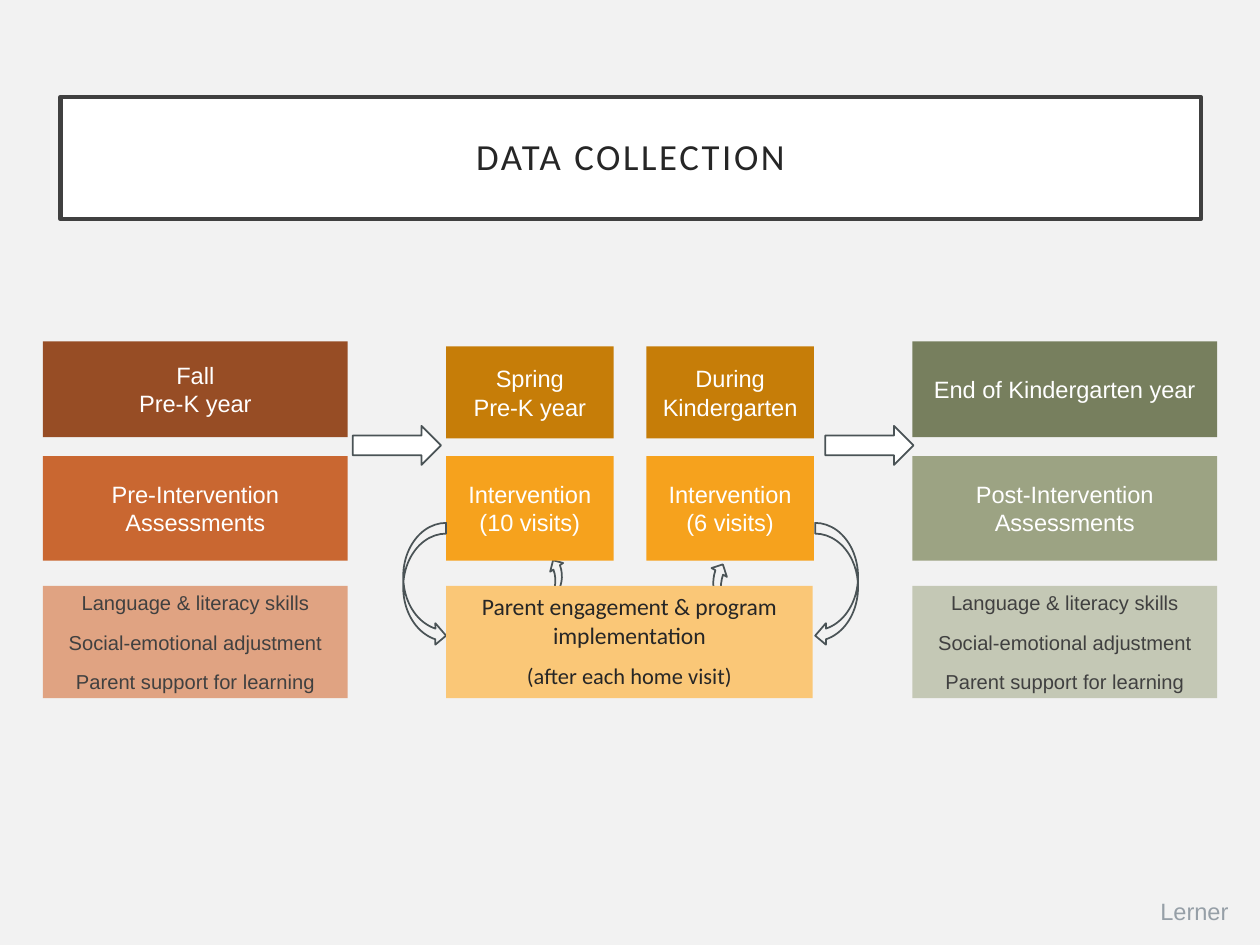
from pptx import Presentation
from pptx.dml.color import RGBColor
from pptx.enum.shapes import MSO_SHAPE as Shape
from pptx.enum.text import MSO_ANCHOR as Anchor, MSO_AUTO_SIZE as AutoSize, PP_ALIGN as Align
from pptx.util import Inches, Pt

BACKGROUND = RGBColor(0xF2, 0xF2, 0xF2)
WHITE = RGBColor(0xFF, 0xFF, 0xFF)
DARK = RGBColor(0x26, 0x26, 0x26)
CHARCOAL = RGBColor(0x40, 0x40, 0x40)
OUTLINE = RGBColor(0x4A, 0x53, 0x56)
GRAY = RGBColor(0x96, 0x9F, 0xA7)
RUST_DARK = RGBColor(0x97, 0x4D, 0x25)
RUST = RGBColor(0xC9, 0x67, 0x31)
RUST_LIGHT = RGBColor(0xE0, 0xA3, 0x82)
AMBER_DARK = RGBColor(0xC6, 0x7D, 0x08)
AMBER = RGBColor(0xF6, 0xA2, 0x1D)
AMBER_LIGHT = RGBColor(0xFA, 0xC7, 0x77)
SAGE_DARK = RGBColor(0x77, 0x7F, 0x5E)
SAGE = RGBColor(0x9C, 0xA3, 0x83)
SAGE_LIGHT = RGBColor(0xC4, 0xC8, 0xB5)

OUTER_WIDTH, INNER_WIDTH = 2.42, 1.33
MIDDLE_TOP, MIDDLE_HEIGHT = 3.62, 0.83
BOTTOM_TOP, BOTTOM_HEIGHT = 4.65, 0.89
SKILLS = [
    "Language & literacy skills",
    "Social-emotional adjustment",
    "Parent support for learning",
]


def set_insets(frame, horizontal, vertical):
    frame.margin_left = frame.margin_right = Inches(horizontal)
    frame.margin_top = frame.margin_bottom = Inches(vertical)


def style_font(font, name, size, color):
    font.name = name
    font.size = Pt(size)
    font.color.rgb = color


def add_title(slide, text):
    title = slide.shapes.title
    title.left, title.top = Inches(0.48), Inches(0.77)
    title.width, title.height = Inches(9.05), Inches(0.97)
    title.fill.solid()
    title.fill.fore_color.rgb = WHITE
    title.line.color.rgb = CHARCOAL
    title.line.width = Pt(2.5)
    frame = title.text_frame
    frame.text = text
    frame.vertical_anchor = Anchor.MIDDLE
    set_insets(frame, 0.2, 0.2)
    paragraph = frame.paragraphs[0]
    paragraph.alignment = Align.CENTER
    paragraph.line_spacing = 0.9
    style_font(paragraph.font, "Calibri", 21, DARK)
    paragraph.runs[0].font._element.set("spc", "150")


def add_box(slide, bounds, fill, lines, sizes=(13.5,), font_name="Arial",
            color=WHITE, before=0, after=0):
    box = slide.shapes.add_shape(Shape.RECTANGLE, *map(Inches, bounds))
    box.shadow.inherit = False
    box.fill.solid()
    box.fill.fore_color.rgb = fill
    box.line.fill.background()
    frame = box.text_frame
    frame.word_wrap = True
    frame.vertical_anchor = Anchor.MIDDLE
    set_insets(frame, 0.07, 0.04)
    for index, line in enumerate(lines):
        paragraph = frame.add_paragraph() if index else frame.paragraphs[0]
        paragraph.text = line
        paragraph.alignment = Align.CENTER
        paragraph.space_before = Pt(before if index else 0)
        paragraph.space_after = Pt(after)
        style_font(paragraph.font, font_name, sizes[index % len(sizes)], color)
    return box


def add_arrow(slide, kind, bounds, rotation=0, fill=None):
    arrow = slide.shapes.add_shape(kind, *map(Inches, bounds))
    arrow.shadow.inherit = False
    arrow.rotation = rotation
    if fill is None:
        arrow.fill.background()
    else:
        arrow.fill.solid()
        arrow.fill.fore_color.rgb = fill
    arrow.line.color.rgb = OUTLINE
    arrow.line.width = Pt(1)


def add_assessment_column(slide, left, colors, heading, assessment):
    top_color, middle_color, bottom_color = colors
    add_box(slide, (left, 2.71, OUTER_WIDTH, 0.76), top_color, heading)
    add_box(slide, (left, MIDDLE_TOP, OUTER_WIDTH, MIDDLE_HEIGHT), middle_color, [assessment])
    add_box(slide, (left, BOTTOM_TOP, OUTER_WIDTH, BOTTOM_HEIGHT), bottom_color, SKILLS,
            sizes=(11.5,), color=CHARCOAL, before=3, after=6)


def add_intervention_column(slide, left, heading, visits):
    add_box(slide, (left, 2.75, INNER_WIDTH, 0.73), AMBER_DARK, heading)
    add_box(slide, (left, MIDDLE_TOP, INNER_WIDTH, MIDDLE_HEIGHT), AMBER,
            ["Intervention", visits])


def add_engagement_box(slide):
    box = add_box(slide, (3.54, BOTTOM_TOP, 2.91, BOTTOM_HEIGHT), AMBER_LIGHT,
                  ["Parent engagement & program implementation", "(after each home visit)"],
                  sizes=(13.5, 12.8), font_name="Calibri", color=DARK, before=7.5)
    box.text_frame.vertical_anchor = Anchor.TOP
    set_insets(box.text_frame, 0.1, 0.05)


def add_credit(slide, text):
    credit = slide.shapes.add_textbox(Inches(9.14), Inches(7.08), Inches(0.76), Inches(0.3))
    frame = credit.text_frame
    frame.word_wrap = True
    frame.auto_size = AutoSize.SHAPE_TO_FIT_TEXT
    set_insets(frame, 0.07, 0.04)
    frame.text = text
    style_font(frame.paragraphs[0].font, "Arial", 13.5, GRAY)


def main():
    presentation = Presentation()
    presentation.slide_width, presentation.slide_height = Inches(10), Inches(7.5)
    slide = presentation.slides.add_slide(presentation.slide_layouts[5])
    slide.background.fill.solid()
    slide.background.fill.fore_color.rgb = BACKGROUND

    add_title(slide, "DATA COLLECTION")
    add_arrow(slide, Shape.CURVED_UP_ARROW, (3.99, 4.55, 0.57, 0.25), 326)
    add_arrow(slide, Shape.CURVED_DOWN_ARROW, (5.57, 4.56, 0.54, 0.28), 210)

    add_assessment_column(slide, 0.34, (RUST_DARK, RUST, RUST_LIGHT),
                          ["Fall", "Pre-K year"], "Pre-Intervention Assessments")
    add_intervention_column(slide, 3.54, ["Spring", "Pre-K year"], "(10 visits)")
    add_intervention_column(slide, 5.13, ["During Kindergarten"], "(6 visits)")
    add_assessment_column(slide, 7.24, (SAGE_DARK, SAGE, SAGE_LIGHT),
                          ["End of Kindergarten year"], "Post-Intervention Assessments")

    for left in (2.8, 6.55):
        add_arrow(slide, Shape.RIGHT_ARROW, (left, 3.38, 0.7, 0.31), fill=WHITE)
    for kind, left in ((Shape.CURVED_UP_ARROW, 2.88), (Shape.CURVED_DOWN_ARROW, 6.15)):
        add_arrow(slide, kind, (left, 4.47, 0.98, 0.34), 90)

    add_credit(slide, "Lerner")
    add_engagement_box(slide)
    presentation.save("out.pptx")


if __name__ == "__main__":
    main()
